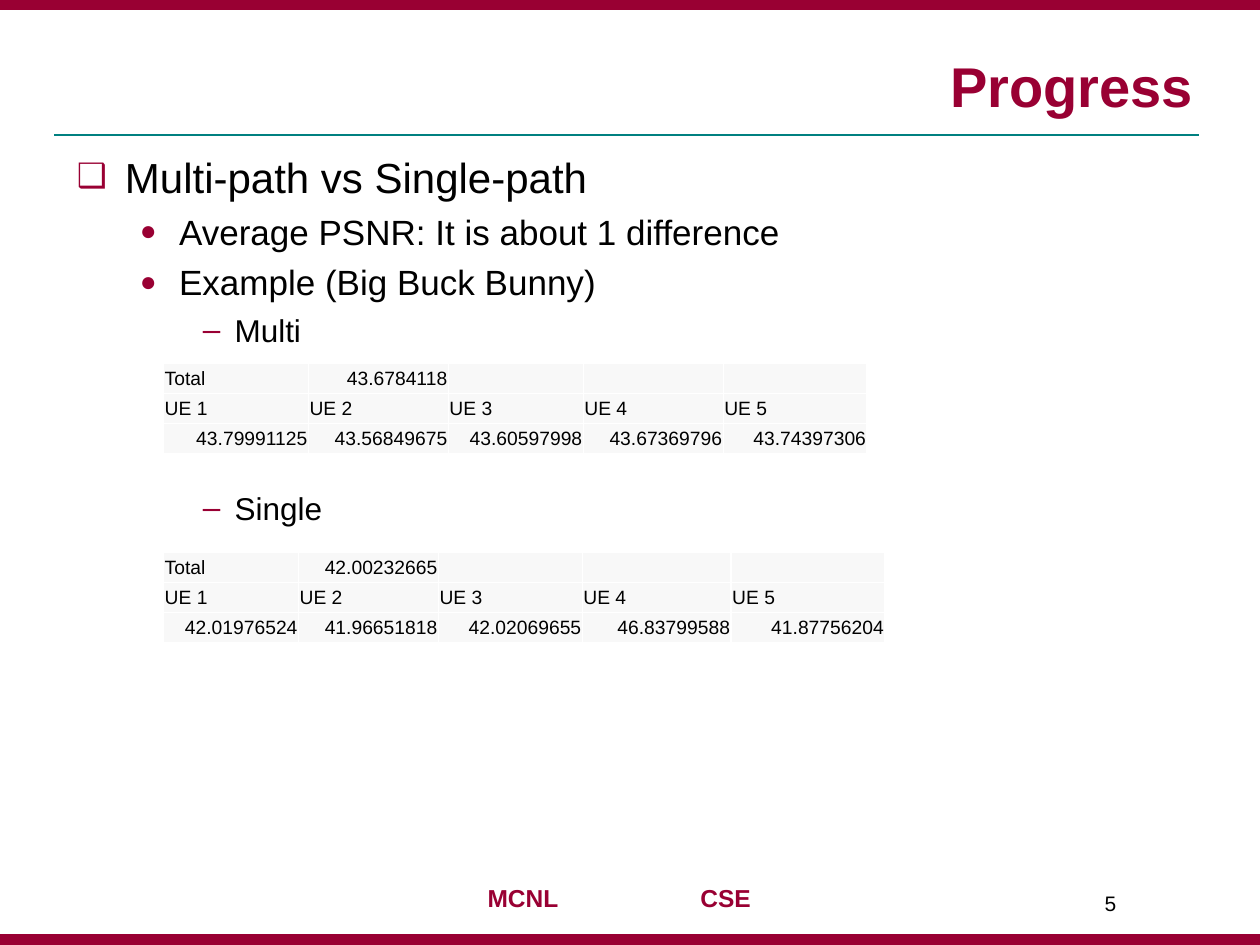
from lxml import etree
from pptx import Presentation
from pptx import util as u
from pptx.dml.color import RGBColor
from pptx.enum import shapes, text
from pptx.oxml.ns import qn

CRIMSON, TEAL, BLACK, WHITE, PALE = "990033", "008080", "000000", "FFFFFF", "F8F8F8"
RIGHT, LEFT = text.PP_ALIGN.RIGHT, text.PP_ALIGN.LEFT
ROW_HEIGHT = 0.61

# text, level, size, space before (pt)
OUTLINE = [
    ("Multi-path vs Single-path", 0, 24, 3),
    ("Average PSNR: It is about 1 difference", 1, 20, 5),
    ("Example (Big Buck Bunny)", 1, 20, 5),
    ("Multi", 2, 18, 4.5),
    ("Single", 2, 18, 80),
]
# bullet, bullet size (%), text indent (cm), hanging indent (cm)
LEVELS = [("\u2751", 80, 0.97, 0.97), ("\u25cf", 80, 2.06, 0.79), ("\u2012", 100, 3.18, 0.64)]

UE_NAMES = [f"UE {n}" for n in range(1, 6)]
MULTI_PSNR = [
    ["Total", "43.6784118", "", "", ""],
    UE_NAMES,
    ["43.79991125", "43.56849675", "43.60597998", "43.67369796", "43.74397306"],
]
SINGLE_PSNR = [
    ["Total", "42.00232665", "", "", ""],
    UE_NAMES,
    ["42.01976524", "41.96651818", "42.02069655", "46.83799588", "41.87756204"],
]


def color(value):
    """Turn a hex string into a colour."""
    return RGBColor.from_string(value)


def apply(target, values):
    """Set attributes from a dict of format values."""
    for key, value in values.items():
        setattr(target, key, value)


def add_xml(parent, tag, **attributes):
    """Append a drawing element and return it."""
    names = {key: str(value) for key, value in attributes.items()}
    return etree.SubElement(parent, qn(tag), names)


def write(paragraph, words, size, tint=BLACK, bold=False, align=LEFT):
    """Write one formatted run into a paragraph."""
    paragraph.alignment = align
    run = paragraph.add_run()
    run.text = words
    apply(run.font, {"name": "Arial", "size": u.Pt(size), "bold": bold})
    run.font.color.rgb = color(tint)


def add_box(slide, left, top, width, height, anchor=text.MSO_ANCHOR.TOP):
    """Add a wrapping text box and return its text frame."""
    box = slide.shapes.add_textbox(*map(u.Cm, (left, top, width, height)))
    apply(box.text_frame, {"word_wrap": True, "vertical_anchor": anchor})
    return box.text_frame


def add_bar(slide, top):
    """Add a full-width crimson bar."""
    bar = slide.shapes.add_shape(
        shapes.MSO_SHAPE.RECTANGLE, 0, u.Cm(top), u.Cm(25.4), u.Cm(0.2))
    bar.shadow.inherit = False
    bar.fill.solid()
    bar.fill.fore_color.rgb = bar.line.color.rgb = color(CRIMSON)
    bar.line.width = u.Pt(0.75)


def add_rule(slide):
    """Add the thin line under the title."""
    rule = slide.shapes.add_connector(
        shapes.MSO_CONNECTOR.STRAIGHT, *map(u.Cm, (1.09, 2.72, 24.18, 2.72)))
    rule.line.color.rgb = color(TEAL)
    rule.line.width = u.Pt(1)
    add_xml(rule._element.spPr, "a:effectLst")


def add_outline(slide):
    """Add the bulleted outline."""
    frame = add_box(slide, 1.3, 2.92, 22.86, 14.4)
    for index, (words, level, size, before) in enumerate(OUTLINE):
        item = frame.add_paragraph() if index else frame.paragraphs[0]
        apply(item, {"level": level, "space_before": u.Pt(before)})
        write(item, words, size)
        bullet, percent, indent, hanging = LEVELS[level]
        props = item._p.get_or_add_pPr()
        props.set("marL", str(u.Cm(indent)))
        props.set("indent", str(-u.Cm(hanging)))
        add_xml(add_xml(props, "a:buClr"), "a:srgbClr", val=CRIMSON)
        add_xml(props, "a:buSzPct", val=percent * 1000)
        add_xml(props, "a:buFont", typeface="Arial")
        add_xml(props, "a:buChar", char=bullet)


def add_footer(slide):
    """Add the two footer labels, parted by a tab stop."""
    label = add_box(slide, 9.58, 17.68, 5.87, 0.86).paragraphs[0]
    write(label, "MCNL\tCSE", 14, CRIMSON, True)
    tabs = add_xml(label._p.get_or_add_pPr(), "a:tabLst")
    add_xml(tabs, "a:tab", pos=u.Cm(4.29), algn="l")


def format_cell(cell, words):
    """Fill, border and write one table cell; figures go right."""
    apply(cell, {
        "margin_left": u.Cm(0.02), "margin_right": u.Cm(0.02),
        "margin_top": u.Cm(0.02), "margin_bottom": 0,
        "vertical_anchor": text.MSO_ANCHOR.MIDDLE,
    })
    paragraph = cell.text_frame.paragraphs[0]
    if words:
        write(paragraph, words, 11, align=RIGHT if "." in words else LEFT)
    else:
        add_xml(paragraph._p, "a:endParaRPr", sz=1100)
    props = cell._tc.get_or_add_tcPr()
    for side in ("a:lnL", "a:lnR", "a:lnT", "a:lnB"):
        border = add_xml(props, side, w=u.Pt(1))
        add_xml(add_xml(border, "a:solidFill"), "a:srgbClr", val=WHITE)
    cell.fill.solid()
    cell.fill.fore_color.rgb = color(PALE)


def add_psnr_table(slide, top, widths, rows):
    """Add a table of PSNR values."""
    table = slide.shapes.add_table(
        len(rows), len(widths), u.Cm(3.3), u.Cm(top),
        u.Cm(sum(widths)), u.Cm(ROW_HEIGHT * len(rows))).table
    apply(table, {"first_row": False, "horz_banding": False})
    for column, width in zip(table.columns, widths):
        column.width = u.Cm(width)
    for row, values in zip(table.rows, rows):
        row.height = u.Cm(ROW_HEIGHT)
        for cell, words in zip(row.cells, values):
            format_cell(cell, words)


def main():
    """Build the slide and save it."""
    deck = Presentation()
    apply(deck, {"slide_width": u.Cm(25.4), "slide_height": u.Cm(19.05)})
    slide = deck.slides.add_slide(deck.slide_layouts[6])
    add_rule(slide)
    for top in (18.85, 0):
        add_bar(slide, top)
    add_footer(slide)
    title = add_box(slide, 1.27, 0.64, 23.04, 1.88, text.MSO_ANCHOR.BOTTOM)
    write(title.paragraphs[0], "Progress", 32, CRIMSON, True, RIGHT)
    add_outline(slide)
    number = add_box(slide, 22.02, 17.83, 2.11, 1.02)
    write(number.paragraphs[0], "5", 12)
    add_psnr_table(slide, 7.32, (2.92, 2.82, 2.72, 2.82, 2.9), MULTI_PSNR)
    add_psnr_table(slide, 11.13, (2.72, 2.82, 2.9, 3, 3.1), SINGLE_PSNR)
    deck.save("out.pptx")


main()
